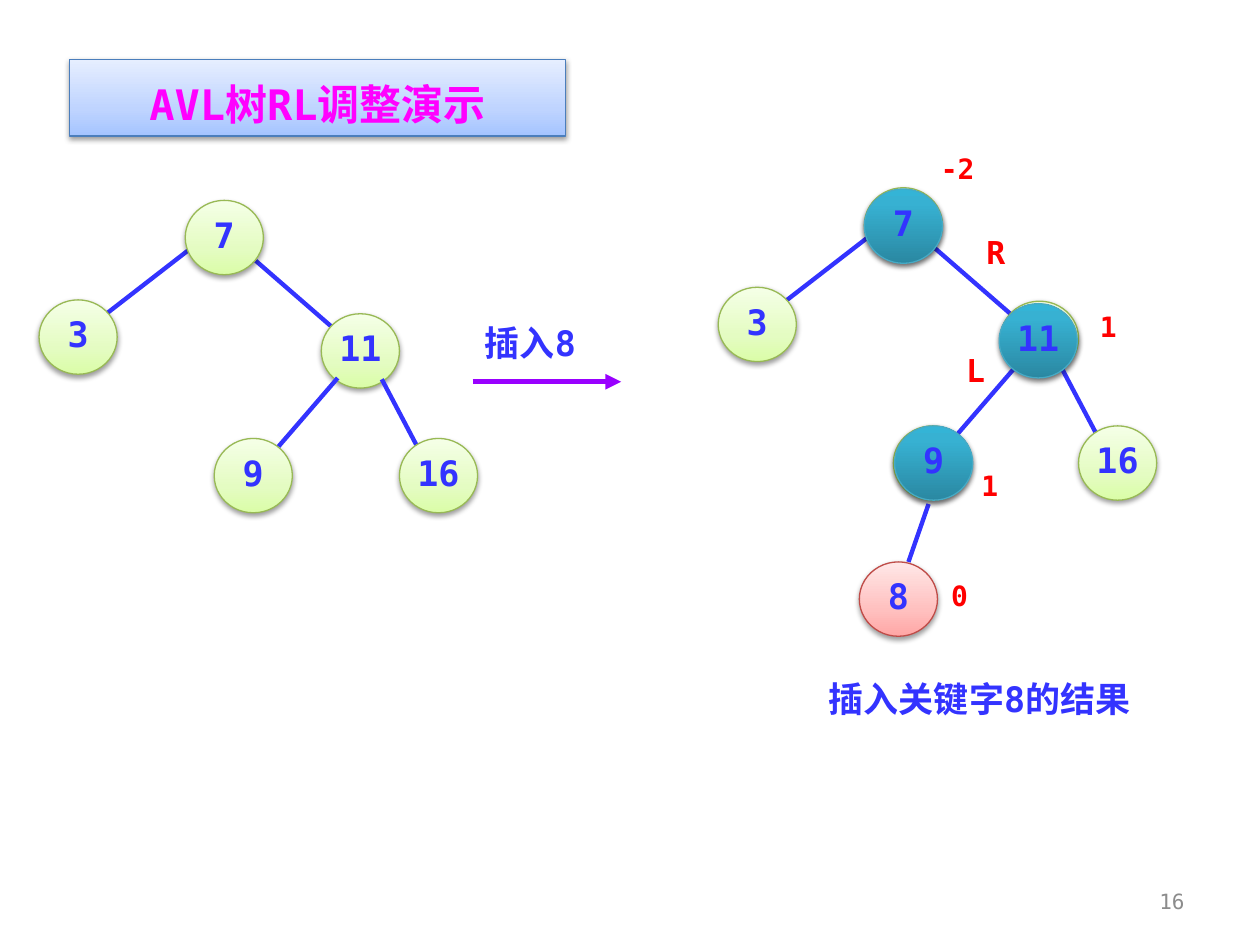
import pptx
import pptx.util
import pptx.dml.color
import pptx.enum.shapes
import pptx.enum.text
import pptx.oxml
import pptx.oxml.ns
import lxml.etree

Inches = pptx.util.Inches
Pt = pptx.util.Pt
Shapes = pptx.enum.shapes.MSO_SHAPE
Align = pptx.enum.text.PP_ALIGN
Anchor = pptx.enum.text.MSO_ANCHOR
FONT = "DejaVu Sans Mono"
BLUE = "3333FF"
RED = "FF0000"
NODE_WIDTH, NODE_HEIGHT = 0.62, 0.59

GREEN_STYLE = ([(0, "DAFDA7"), (35, "E4FCC2"), (100, "F5FFE7")], "98B955", 38, 1.6)
PINK_STYLE = ([(0, "FFA6A5"), (35, "FFC0BF"), (100, "FFE7E7")], "BF4C48", 38, 1.6)
TEAL_STYLE = ([(0, "2A88A2"), (80, "37B1D2"), (100, "34B4D6")], "46AAC5", 35, 1.8)
TITLE_STYLE = ([(0, "A4C4FF"), (35, "BFD4FF"), (100, "E6EEFF")], "4B7EBC", 38, 1.6)

TREE_LEVELS = [
    ([(2.03, 2.07, 2.64, 2.6), (1.49, 1.99, 0.78, 2.54)],
     [("7", 1.47, 1.59), ("3", 0.31, 2.38), ("11", 2.55, 2.49)]),
    ([(2.68, 3, 2.11, 3.66), (3.03, 3.01, 3.32, 3.56)],
     [("9", 1.7, 3.48), ("16", 3.17, 3.48)]),
]


def rgb(color):
    return pptx.dml.color.RGBColor.from_string(color)


def add_child(parent, tag, **attributes):
    child = lxml.etree.SubElement(parent, pptx.oxml.ns.qn(tag))
    for name, value in attributes.items():
        child.set(name, str(value))
    return child


def write_text(shape, text, size, color, bold=True, align=Align.LEFT, spacing=1.0):
    frame = shape.text_frame
    frame.word_wrap = True
    frame.text = text
    para = frame.paragraphs[0]
    para.alignment = align
    para.line_spacing = spacing
    font = para.runs[0].font
    font.name, font.size, font.bold = FONT, Pt(size), bold
    font.color.rgb = rgb(color)


def add_text(page, text, left, top, width, height, size, color, **options):
    box = page.shapes.add_textbox(Inches(left), Inches(top), Inches(width), Inches(height))
    write_text(box, text, size, color, **options)
    return box


def add_glossy_shape(page, kind, left, top, width, height, style):
    stops, outline, shadow_alpha, shadow_distance = style
    shape = page.shapes.add_shape(kind, Inches(left), Inches(top), Inches(width), Inches(height))
    shape.fill.gradient()
    shape.fill.gradient_angle = 90
    stop_list = shape._element.spPr.xpath("./a:gradFill/a:gsLst")[0]
    for old_stop in list(stop_list):
        stop_list.remove(old_stop)
    for position, color in stops:
        stop = add_child(stop_list, "a:gs", pos=position * 1000)
        add_child(stop, "a:srgbClr", val=color)
    shape.line.color.rgb = rgb(outline)
    shape.line.width = Pt(0.75)
    shape.shadow.inherit = False
    effects = shape._element.spPr.find(pptx.oxml.ns.qn("a:effectLst"))
    shadow = add_child(effects, "a:outerShdw", blurRad=Pt(3.1), dist=Pt(shadow_distance),
                       dir=5400000, rotWithShape=0)
    shade = add_child(shadow, "a:srgbClr", val="000000")
    add_child(shade, "a:alpha", val=shadow_alpha * 1000)
    return shape


def add_node(page, text, left, top, style=GREEN_STYLE):
    node = add_glossy_shape(page, Shapes.OVAL, left, top, NODE_WIDTH, NODE_HEIGHT, style)
    write_text(node, text, 20, BLUE, align=Align.CENTER, spacing=0.8)
    frame = node.text_frame
    frame.vertical_anchor = Anchor.TOP
    frame.margin_left = frame.margin_right = frame.margin_bottom = 0
    frame.margin_top = Inches(0.08)


def add_line(page, x1, y1, x2, y2, color=BLUE, width=2.5, arrow=False):
    line = page.shapes.add_connector(pptx.enum.shapes.MSO_CONNECTOR.STRAIGHT,
                                     Inches(x1), Inches(y1), Inches(x2), Inches(y2))
    line.line.color.rgb = rgb(color)
    line.line.width = Pt(width)
    if arrow:
        add_child(line.line._get_or_add_ln(), "a:tailEnd", type="triangle")
    add_child(line._element.spPr, "a:effectLst")


def add_tree(page, dx=0, dy=0):
    for edges, nodes in TREE_LEVELS:
        for x1, y1, x2, y2 in edges:
            add_line(page, x1 + dx, y1 + dy, x2 + dx, y2 + dy)
        for text, left, top in nodes:
            add_node(page, text, left + dx, top + dy)


def add_title(page):
    title = add_glossy_shape(page, Shapes.RECTANGLE, 0.55, 0.47, 3.94, 0.61, TITLE_STYLE)
    write_text(title, "AVL树RL调整演示", 24, "FF00FF", align=Align.CENTER, spacing=1.25)
    title.text_frame.vertical_anchor = Anchor.TOP


def add_insertion_result(page):
    for text, left, top, width in [("0", 7.45, 4.54, 0.31), ("1", 7.69, 3.67, 0.31),
                                   ("1", 8.63, 2.41, 0.31), ("-2", 7.37, 1.15, 0.6)]:
        add_text(page, text, left, top, width, 0.37, 16, RED)
    add_tree(page, 5.39, -0.1)
    add_line(page, 7.37, 4, 7.21, 4.46)
    add_node(page, "8", 6.82, 4.46, PINK_STYLE)
    add_text(page, "插入关键字8的结果", 6.48, 5.23, 2.76, 0.53, 20, BLUE,
             align=Align.JUSTIFY, spacing=1.3)


def add_rotation_marks(page):
    for text, left, top in [("7", 6.86, 1.5), ("11", 7.93, 2.41), ("9", 7.1, 3.38)]:
        add_node(page, text, left, top, TEAL_STYLE)
    for text, left, top in [("R", 7.73, 1.8), ("L", 7.57, 2.74)]:
        add_text(page, text, left, top, 0.39, 0.4, 18, RED)


def main():
    deck = pptx.Presentation()
    deck.slide_width, deck.slide_height = Inches(10), Inches(7.5)
    page = deck.slides.add_slide(deck.slide_layouts[6])
    add_insertion_result(page)
    add_line(page, 3.75, 3.03, 4.93, 3.03, "9900FF", 3, arrow=True)
    add_text(page, "插入8", 3.75, 2.4, 0.94, 0.53, 20, BLUE, align=Align.JUSTIFY, spacing=1.3)
    add_title(page)
    add_tree(page)
    add_rotation_marks(page)
    number = add_text(page, "16", 7.17, 6.95, 2.33, 0.4, 12, "8C8C8C",
                      bold=False, align=Align.RIGHT)
    number.text_frame.vertical_anchor = Anchor.MIDDLE
    deck.save("out.pptx")


if __name__ == "__main__":
    main()
